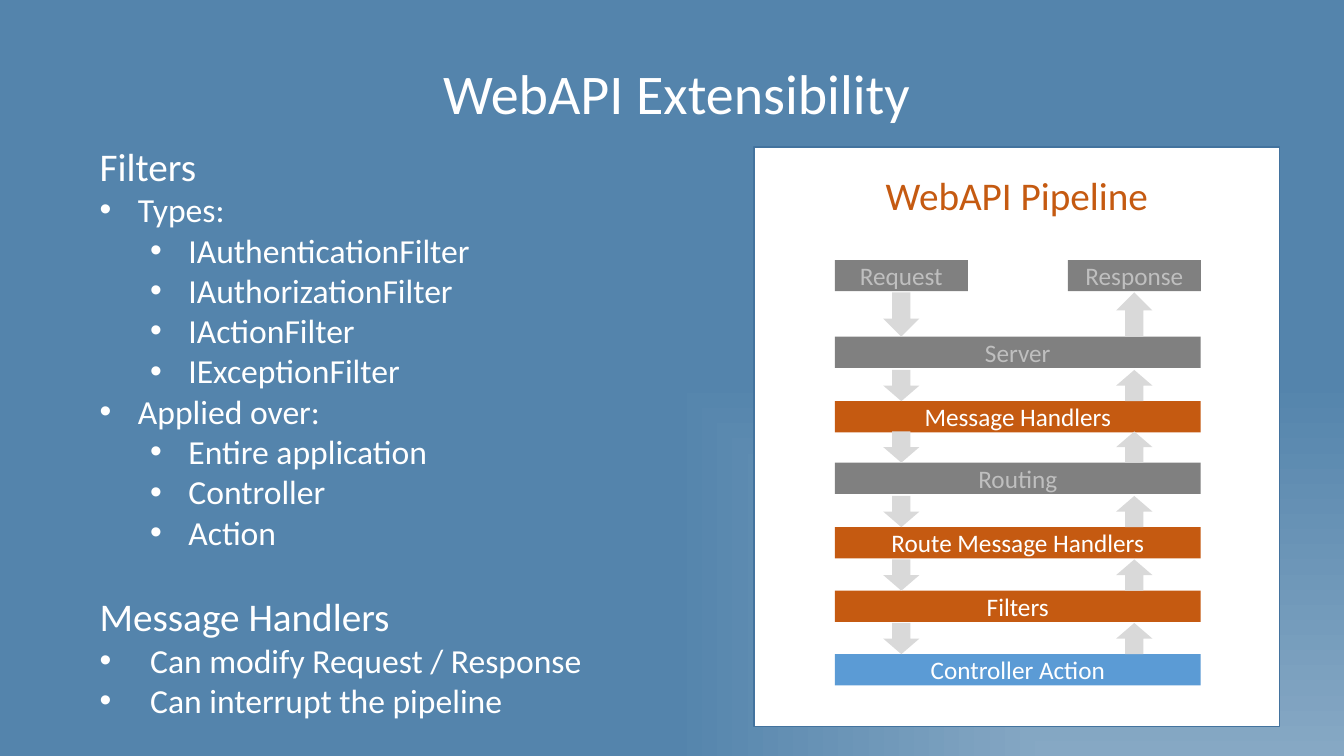
from lxml import etree
from pptx import Presentation
from pptx.dml.color import RGBColor
from pptx.enum import shapes, text
from pptx.oxml import parse_xml
from pptx.oxml.ns import qn
from pptx.util import Inches, Pt

FONT = "Calibri"
HEX = {
    "white": "FFFFFF", "glow": "86A8C4", "back": "5484AC", "edge": "43739E",
    "orange": "C55A11", "gray": "808080", "pale": "BFBFBF",
    "blue": "5B9BD5", "arrow": "D9D9D9",
}
TITLE = "WebAPI Extensibility"
PANEL = "WebAPI Pipeline"

# Style: size, indent in inches (0 = no bullet), level
STYLES = {
    "head": (28, 0, 0), "item": (24, 0.38, 0),
    "sub": (24, 0.88, 1), "note": (24, 0.5, 0),
}
NOTES = [
    ("head", "Filters"),
    ("item", "Types:"),
    ("sub", "IAuthenticationFilter"),
    ("sub", "IAuthorizationFilter"),
    ("sub", "IActionFilter"),
    ("sub", "IExceptionFilter"),
    ("item", "Applied over:"),
    ("sub", "Entire application"),
    ("sub", "Controller"),
    ("sub", "Action"),
    ("head", "Message Handlers"),
    ("note", "Can modify Request / Response"),
    ("note", "Can interrupt the pipeline"),
]
ENDS = ["Request", "Response"]
STAGES = [  # top, label, fill, font colour
    (3.34, "Server", "gray", "pale"),
    (3.98, "Message Handlers", "orange", "white"),
    (4.59, "Routing", "gray", "pale"),
    (5.23, "Route Message Handlers", "orange", "white"),
    (5.86, "Filters", "orange", "white"),
    (6.49, "Controller Action", "blue", "white"),
]
LEFT, WIDE, END_W, BAR_H, END_TOP = 8.28, 3.63, 1.32, 0.31, 2.58
ARROW_W, FIRST_H = 0.36, 0.44


def color(name):
    """Return the named colour."""
    return RGBColor.from_string(HEX[name])


def write(para, words, size, tint, align=text.PP_ALIGN.LEFT):
    """Add one formatted run to a paragraph."""
    para.alignment = align
    run = para.add_run()
    run.text = words
    run.font.name, run.font.size = FONT, Pt(size)
    run.font.color.rgb = color(tint)


def block(kind, box, fill):
    """Add a flat shape with no line."""
    shape = slide.shapes.add_shape(kind, *map(Inches, box))
    shape.shadow.inherit = False
    shape.fill.solid()
    shape.fill.fore_color.rgb = color(fill)
    shape.line.fill.background()
    return shape


def bar(left, top, width, label, fill, tint):
    """Add a labelled pipeline bar."""
    shape = block(shapes.MSO_SHAPE.RECTANGLE, (left, top, width, BAR_H), fill)
    frame = shape.text_frame
    frame.vertical_anchor = text.MSO_ANCHOR.MIDDLE
    write(frame.paragraphs[0], label, 18, tint, text.PP_ALIGN.CENTER)


def bullet(para, indent, hang):
    """Give a paragraph a hanging bullet."""
    props = para._p.get_or_add_pPr()
    props.set("marL", str(Inches(indent)))
    props.set("indent", str(-Inches(hang)))
    etree.SubElement(props, qn("a:buFont")).set("typeface", "Arial")
    etree.SubElement(props, qn("a:buChar")).set("char", "•")


def shade():
    """Fill the background with a glow from the lower right corner."""
    slide.background.fill.gradient()
    old = slide._element.find(".//" + qn("a:gradFill"))
    stops = "".join(
        f'<a:gs pos="{pos}"><a:srgbClr val="{HEX[name]}"/></a:gs>'
        for pos, name in [(0, "white"), (0, "glow"), (100000, "back")])
    new = parse_xml(
        '<a:gradFill xmlns:a="http://schemas.openxmlformats.org/drawingml/2006/main"'
        f' rotWithShape="1"><a:gsLst>{stops}</a:gsLst><a:path path="rect">'
        '<a:fillToRect l="100000" t="100000"/></a:path></a:gradFill>')
    old.getparent().replace(old, new)


deck = Presentation()
deck.slide_width, deck.slide_height = Inches(13.33), Inches(7.5)
slide = deck.slides.add_slide(deck.slide_layouts[5])
shade()

panel = block(shapes.MSO_SHAPE.RECTANGLE, (7.48, 1.46, 5.21, 5.75), "white")
panel.line.color.rgb = color("edge")
panel.line.width = Pt(1)
panel.text_frame.margin_top = Inches(0.24)
panel.text_frame.vertical_anchor = text.MSO_ANCHOR.TOP
write(panel.text_frame.paragraphs[0], PANEL, 28, "orange", text.PP_ALIGN.CENTER)

title = slide.shapes.title
title.left, title.top, title.width, title.height = map(
    Inches, (0.9, 0.53, 11.62, 0.77))
title.text_frame.vertical_anchor = text.MSO_ANCHOR.TOP
title.text_frame.auto_size = text.MSO_AUTO_SIZE.SHAPE_TO_FIT_TEXT
write(title.text_frame.paragraphs[0], TITLE, 40, "white", text.PP_ALIGN.CENTER)

notes = slide.shapes.add_textbox(*map(Inches, (0.89, 1.36, 5.12, 5.89))).text_frame
notes.word_wrap = True
notes.auto_size = text.MSO_AUTO_SIZE.SHAPE_TO_FIT_TEXT
for i, (style, words) in enumerate(NOTES):
    size, indent, level = STYLES[style]
    para = notes.add_paragraph() if i else notes.paragraphs[0]
    para.level = level
    if i and style == "head":
        para.space_before = Pt(29)
    if indent:
        bullet(para, indent, min(indent, 0.38) if style != "note" else indent)
    write(para, words, size, "white")

lanes = [LEFT, LEFT + WIDE - END_W]
for left, label in zip(lanes, ENDS):
    bar(left, END_TOP, END_W, label, "gray", "pale")
for top, label, fill, tint in STAGES:
    bar(LEFT, top, WIDE, label, fill, tint)

for i, (top, *_) in enumerate(STAGES):
    tall = BAR_H if i else FIRST_H
    for left, turn in zip(lanes, (0, 180)):
        mid = left + (END_W - ARROW_W) / 2
        arrow = block(shapes.MSO_SHAPE.DOWN_ARROW,
                      (mid, top - tall, ARROW_W, tall), "arrow")
        arrow.rotation = turn

deck.save("out.pptx")
